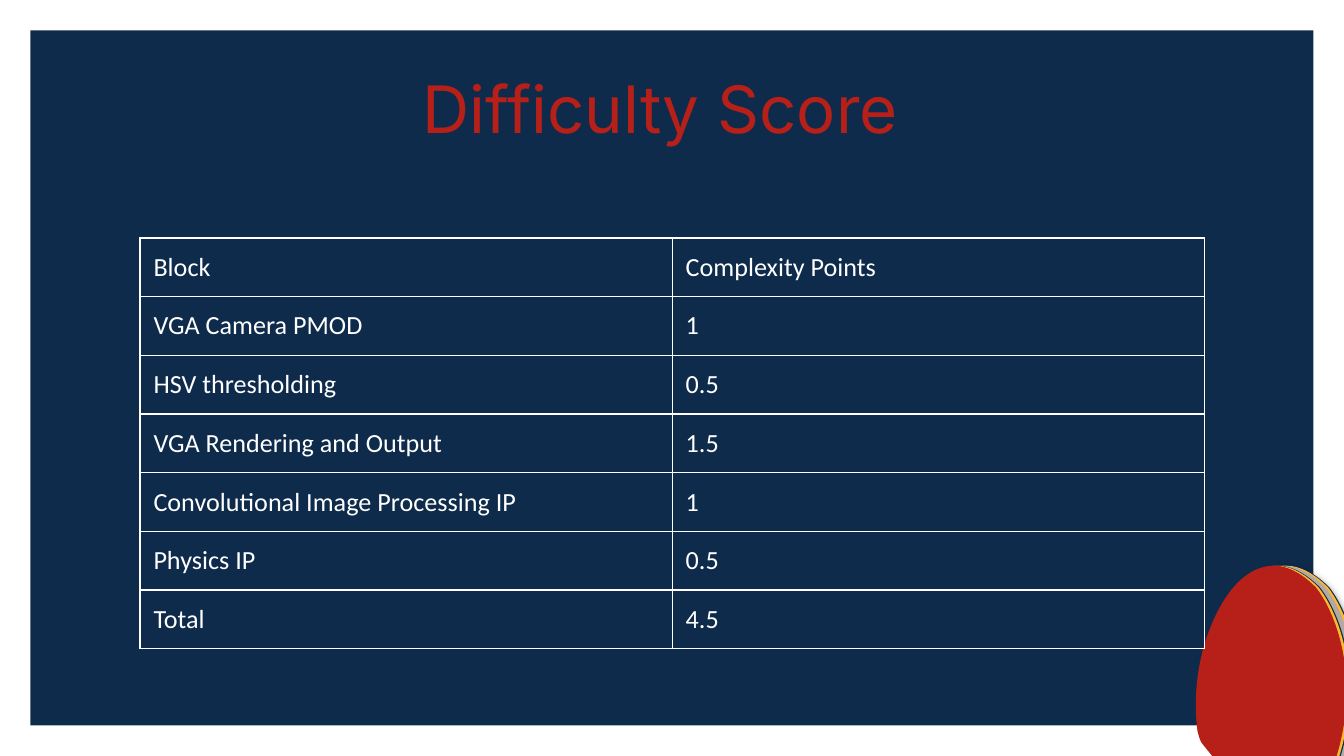
from lxml.etree import SubElement
from pptx import Presentation
from pptx.dml.color import RGBColor
from pptx.enum.shapes import MSO_SHAPE
from pptx.enum.text import MSO_ANCHOR, PP_ALIGN
from pptx.oxml import parse_xml
from pptx.oxml.ns import nsdecls, qn
from pptx.util import Inches, Pt

COLS, ROWS = 100, 56.25
NAVY, RED, GOLD, GREY, WHITE = "0E2B4B", "B72019", "FFB72F", "B1A9A2", "FFFFFF"
ROSE = "C45B50"
TAIL = [
    [(89.9, 68.5)],
    [(89.7, 69.1), (87.5, 69), (87.1, 67.4)],
    [(87.1, 67), (90.5, 59.2), (90.7, 58.6)],
    [(90.8, 58), (90.3, 55.7), (90.3, 55.7)],
    [(94, 60.3)],
    [(94, 60.3), (93.2, 59.6), (92.3, 61.8)],
    [(91.4, 63.9), (90.2, 67.3), (89.9, 68.5)],
]
BALLOON = [
    [(94.8, 42.1)],
    [(93.4, 42.1), (91.9, 43), (90.6, 45.5)],
    [(88.7, 49.2), (88.9, 52.9), (89.1, 54.4)],
    [(89.2, 54.8), (89.3, 55.2), (89.5, 55.4)],
    [(92, 58.5)],
    [(94.6, 61.5)],
    [(94.7, 61.7), (94.9, 61.8), (95.1, 61.8)],
    [(95.2, 61.8), (95.2, 61.8), (95.3, 61.8)],
    [(96.1, 61.6), (98.2, 60.6), (99.5, 56.1)],
    [(101.2, 50.3), (99.4, 45.6), (97.9, 43.7)],
    [(97.1, 42.9), (96, 42.1), (94.8, 42.1)],
]
LAYERS = [(1, NAVY), (0.9, GOLD), (0.7, GREY), (0.3, NAVY), (0.2, GOLD), (0, RED)]
SCORES = [
    ("Block", "Complexity Points"),
    ("VGA Camera PMOD", "1"),
    ("HSV thresholding", "0.5"),
    ("VGA Rendering and Output", "1.5"),
    ("Convolutional Image Processing IP", "1"),
    ("Physics IP", "0.5"),
    ("Total", "4.5"),
]


def rgb(color):
    return RGBColor.from_string(color)


def unit(n):
    return Inches(n / 10)


class Deck:
    """Draws styled elements on a grid of 100 columns and 56.25 rows."""

    def __init__(self):
        self.prs = Presentation()
        self.prs.slide_width, self.prs.slide_height = unit(COLS), unit(ROWS)

    def add_slide(self, color):
        self.s = self.prs.slides.add_slide(self.prs.slide_layouts[6])
        self.s.background.fill.solid()
        self.s.background.fill.fore_color.rgb = rgb(color)

    def paint(self, sp, color):
        sp.shadow.inherit = False
        sp.fill.solid()
        sp.fill.fore_color.rgb = rgb(color)
        sp.line.fill.background()
        return sp

    def font(self, p, name, size, color):
        for r in p.runs:
            r.font.name, r.font.size = name, Pt(size)
            r.font.color.rgb = rgb(color)

    def bar(self, x, y, w, h):
        sp = self.s.shapes.add_shape(MSO_SHAPE.RECTANGLE, *map(unit, (x, y, w, h)))
        self.paint(sp, WHITE)

    def outline(self, segments, color, dx=0):
        pts = [(unit(x + dx), unit(y)) for segment in segments for x, y in segment]
        builder = self.s.shapes.build_freeform(*pts[0])
        builder.add_line_segments(pts[1:])
        sp = builder.convert_to_shape()
        lines = iter(list(sp._element.iter(qn("a:lnTo"))))
        for segment in segments[1:]:
            group = [next(lines) for _ in segment]
            if len(group) == 3:
                curve = parse_xml(f'<a:cubicBezTo {nsdecls("a")}/>')
                group[0].addprevious(curve)
                for line in group:
                    curve.append(line[0])
                    line.getparent().remove(line)
        return self.paint(sp, color)

    def shadow(self, sp):
        effects = sp._element.spPr.find(qn("a:effectLst"))
        shadow = SubElement(effects, qn("a:outerShdw"), blurRad=str(Pt(4.5)),
                            dist=str(Pt(1.5)), dir="5400000", rotWithShape="0")
        black = SubElement(shadow, qn("a:srgbClr"), val="000000")
        SubElement(black, qn("a:alpha"), val="50000")

    def title(self, text, x, y, w, h):
        tf = self.s.shapes.add_textbox(*map(unit, (x, y, w, h))).text_frame
        tf.word_wrap = True
        tf.vertical_anchor = MSO_ANCHOR.MIDDLE
        tf.margin_left = tf.margin_right = tf.margin_top = tf.margin_bottom = unit(1)
        tf.text = text
        p = tf.paragraphs[0]
        p.alignment = PP_ALIGN.CENTER
        self.font(p, "Inter", 35, RED)

    def table(self, rows, x, y, w, row_h):
        size = map(unit, (x, y, w, row_h * len(rows)))
        table = self.s.shapes.add_table(len(rows), len(rows[0]), *size).table
        table.first_row = table.horz_banding = False
        for i, row in enumerate(rows):
            for j, text in enumerate(row):
                self.cell(table.cell(i, j), text)

    def cell(self, cell, text):
        cell.margin_left = cell.margin_right = unit(1)
        cell.margin_top = cell.margin_bottom = unit(1)
        cell.text = text
        self.font(cell.text_frame.paragraphs[0], "Calibri", 14, WHITE)
        cell.fill.background()
        for i, side in enumerate("LRTB"):
            border = parse_xml(
                f'<a:ln{side} {nsdecls("a")} w="{Pt(0.75)}"><a:solidFill>'
                f'<a:srgbClr val="{WHITE}"/></a:solidFill></a:ln{side}>')
            cell._tc.get_or_add_tcPr().insert(i, border)


def main():
    deck = Deck()
    deck.add_slide(NAVY)
    edge = 2.27
    for y in (0, ROWS - edge):
        deck.bar(0, y, COLS, edge)
    for x in (0, COLS - edge):
        deck.bar(x, 0, edge, ROWS)
    deck.outline(TAIL, ROSE)
    layers = [deck.outline(BALLOON, color, dx) for dx, color in LAYERS]
    deck.shadow(layers[0])
    deck.title("Difficulty Score", 7, 4.85, 84.3, 6.3)
    deck.table(SCORES, 10.42, 17.71, 79.2, 4.37)
    deck.prs.save("out.pptx")


if __name__ == "__main__":
    main()
